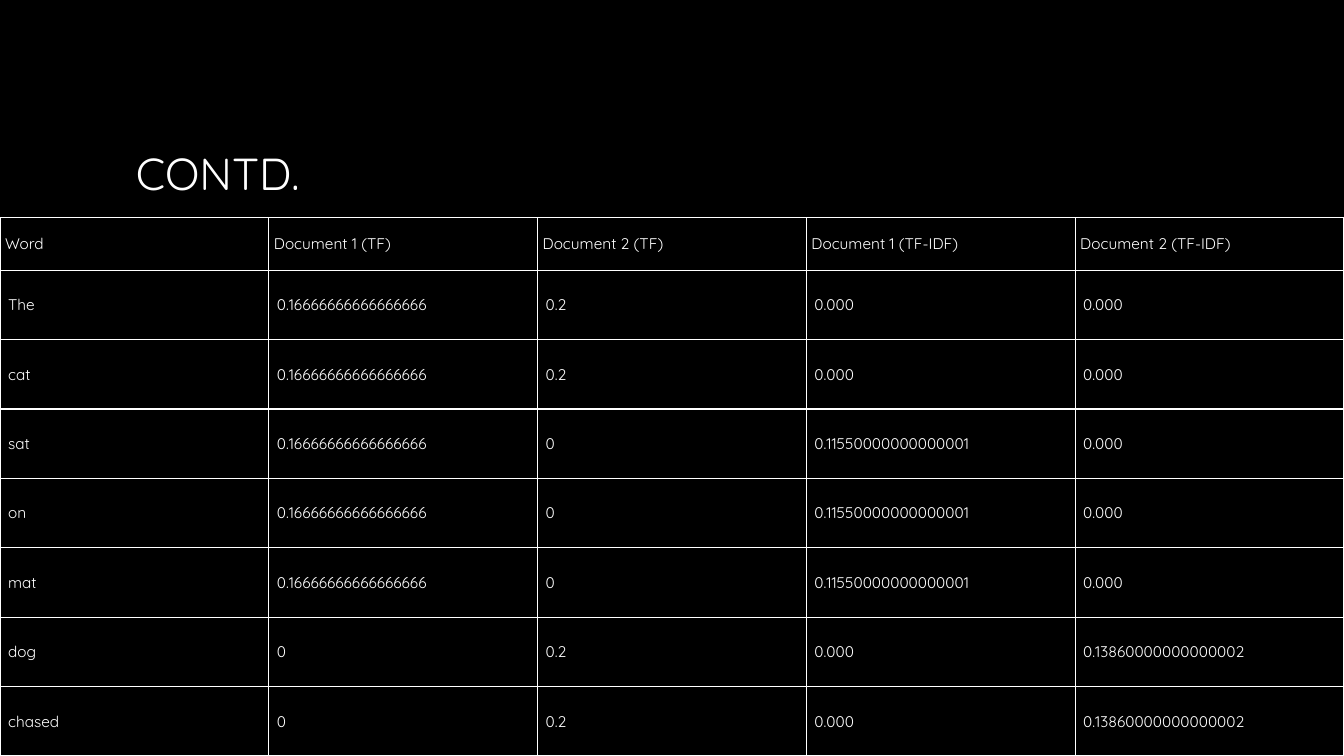
"""Build the slide that continues the TF and TF-IDF word table."""
from lxml import etree
from pptx import Presentation
from pptx.dml.color import RGBColor
from pptx.enum import text
from pptx.oxml import ns
from pptx.util import Pt

BLACK = RGBColor(0x00, 0x00, 0x00)
WHITE = RGBColor(0xFF, 0xFF, 0xFF)

SLIDE_WIDTH, SLIDE_HEIGHT = 960, 540
TABLE_TOP = 155.5
HEADER_HEIGHT = 37.6

HEADER = ("Word", "Document 1 (TF)", "Document 2 (TF)",
          "Document 1 (TF-IDF)", "Document 2 (TF-IDF)")
SHARED = ("0.16666666666666666", "0.2", "0.000", "0.000")
FIRST_ONLY = ("0.16666666666666666", "0", "0.11550000000000001", "0.000")
SECOND_ONLY = ("0", "0.2", "0.000", "0.13860000000000002")
SCORES = {"The": SHARED, "cat": SHARED,
          "sat": FIRST_ONLY, "on": FIRST_ONLY, "mat": FIRST_ONLY,
          "dog": SECOND_ONLY, "chased": SECOND_ONLY}


class SlideBuilder:
    """Hold the style and the current slide, and add elements to it."""

    def __init__(self, slide, font="Quicksand", color=WHITE):
        self.slide = slide
        self.font = font
        self.color = color

    def background(self, color):
        """Fill the slide background with one colour."""
        fill = self.slide.background.fill
        fill.solid()
        fill.fore_color.rgb = color

    def format_runs(self, text_frame, size):
        """Apply the font, colour and size to every run."""
        for paragraph in text_frame.paragraphs:
            for run in paragraph.runs:
                run.font.name = self.font
                run.font.size = Pt(size)
                run.font.color.rgb = self.color

    def title(self, words, left, top, width, height, size):
        """Add a vertically centred title."""
        shape = self.slide.shapes.add_textbox(Pt(left), Pt(top), Pt(width), Pt(height))
        text_frame = shape.text_frame
        text_frame.word_wrap = True
        text_frame.vertical_anchor = text.MSO_ANCHOR.MIDDLE
        text_frame.text = words
        self.format_runs(text_frame, size)

    def borders(self, cell, width):
        """Draw a line on all four sides of a cell."""
        properties = cell._tc.get_or_add_tcPr()
        for side in ("a:lnL", "a:lnR", "a:lnT", "a:lnB"):
            line = etree.SubElement(properties, ns.qn(side), w=str(Pt(width)))
            fill = etree.SubElement(line, ns.qn("a:solidFill"))
            etree.SubElement(fill, ns.qn("a:srgbClr"), val=str(self.color))

    def cell(self, cell, words, size, inset_x, inset_y):
        """Fill one table cell with text, margins and borders."""
        cell.text = words
        cell.vertical_anchor = text.MSO_ANCHOR.MIDDLE
        cell.margin_left = cell.margin_right = Pt(inset_x)
        cell.margin_top = cell.margin_bottom = Pt(inset_y)
        self.borders(cell, 1)
        cell.fill.background()
        self.format_runs(cell.text_frame, size)

    def table(self, rows, left, top, width, height, header_height, size):
        """Add a grid with equal columns and equal body rows."""
        columns = len(rows[0])
        table = self.slide.shapes.add_table(
            len(rows), columns, Pt(left), Pt(top), Pt(width), Pt(height)).table
        table.first_row = False
        table.horz_banding = False
        for column in table.columns:
            column.width = Pt(width / columns)
        body_height = (height - header_height) / (len(rows) - 1)
        for index, values in enumerate(rows):
            is_header = index == 0
            table.rows[index].height = Pt(header_height if is_header else body_height)
            insets = (3.6, 1.4) if is_header else (5.8, 5.8)
            for cell, words in zip(table.rows[index].cells, values):
                self.cell(cell, words, size, *insets)


def main():
    """Create and save the presentation."""
    presentation = Presentation()
    presentation.slide_width = Pt(SLIDE_WIDTH)
    presentation.slide_height = Pt(SLIDE_HEIGHT)
    builder = SlideBuilder(presentation.slides.add_slide(presentation.slide_layouts[6]))
    builder.background(BLACK)
    builder.title("CONTD.", 90, 48, 780, 150, size=32)
    rows = [HEADER] + [(word, *scores) for word, scores in SCORES.items()]
    builder.table(rows, 0, TABLE_TOP, SLIDE_WIDTH, SLIDE_HEIGHT - TABLE_TOP,
                  HEADER_HEIGHT, size=11)
    presentation.save("out.pptx")


if __name__ == "__main__":
    main()
